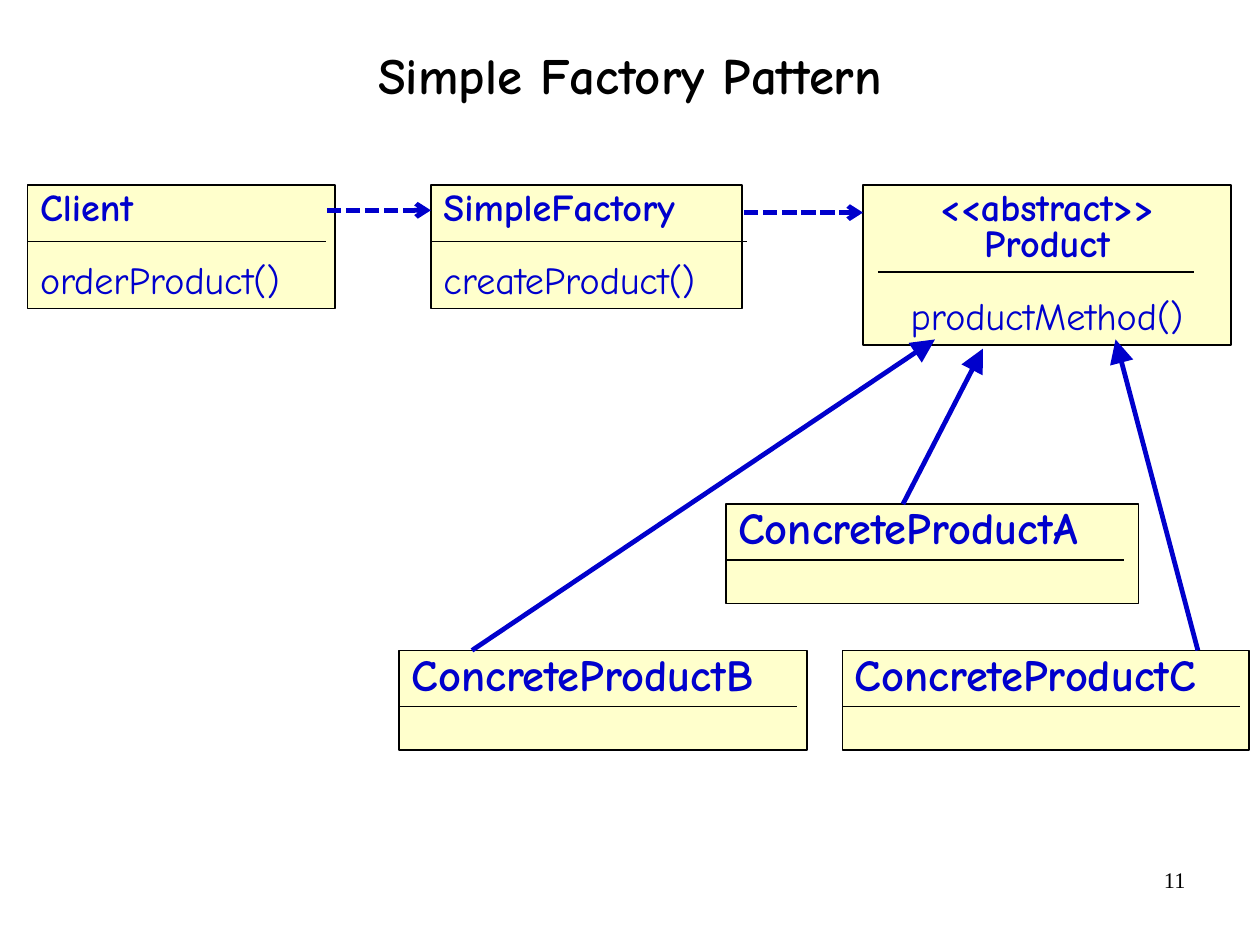
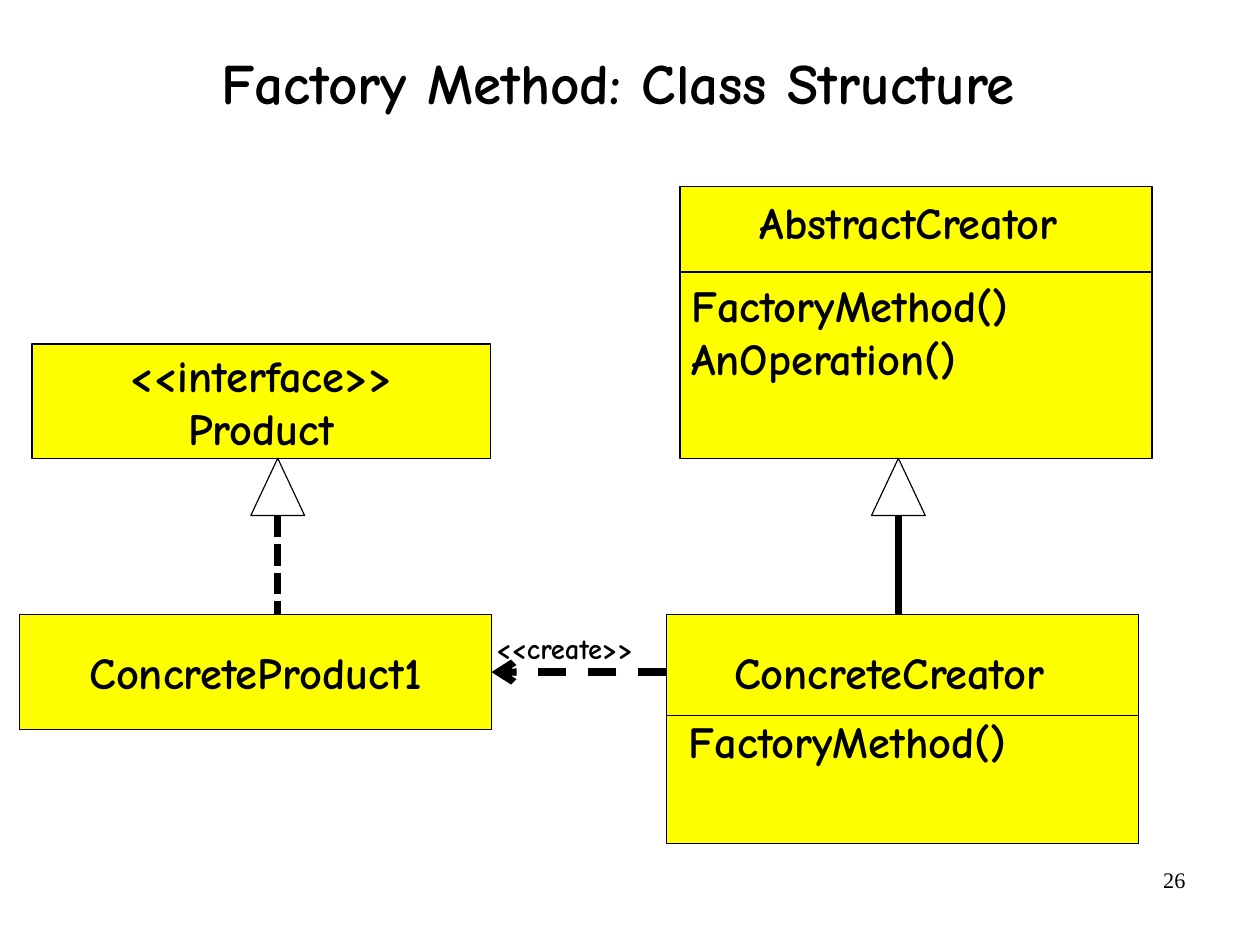
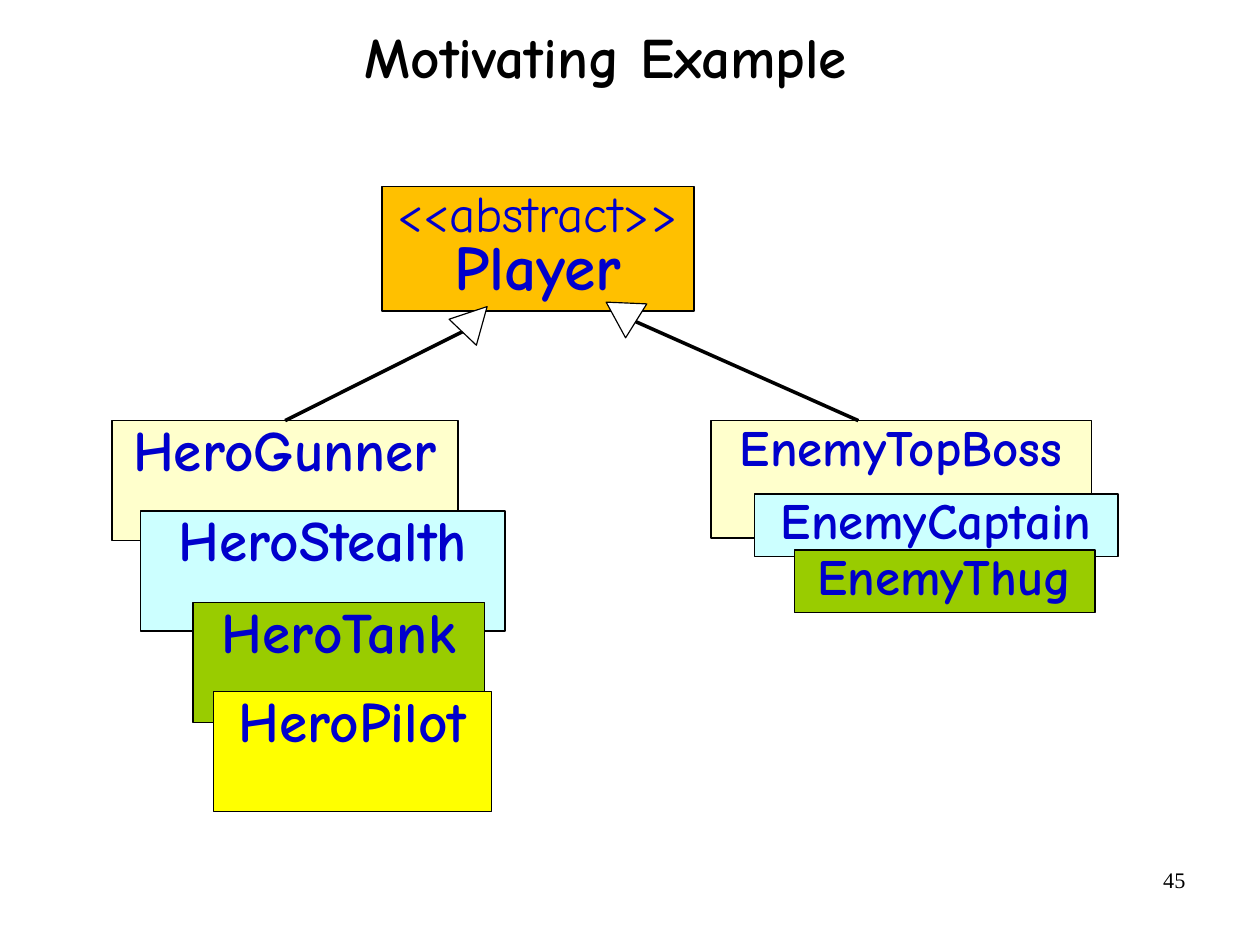
from dataclasses import dataclass, field, replace
from typing import Optional

import lxml.etree
import pptx
import pptx.dml.color
import pptx.enum.dml
import pptx.enum.shapes
import pptx.enum.text
import pptx.oxml.ns
import pptx.presentation
import pptx.shapes.autoshape
import pptx.shapes.connector
import pptx.slide
import pptx.text.text
import pptx.util

ALIGN = pptx.enum.text.PP_ALIGN
ANCHOR = pptx.enum.text.MSO_ANCHOR
DASH = pptx.enum.dml.MSO_LINE
SHAPE = pptx.enum.shapes.MSO_SHAPE

CELL = 0.1  # inches in one grid column or row
PAGE_WIDTH, PAGE_HEIGHT = pptx.util.Cm(28), pptx.util.Cm(21)
TITLE_ONLY_LAYOUT = 5
TOP_SIDE, RIGHT_SIDE = 0, 3

Area = tuple[float, float, float, float]  # left, top, columns, rows
Point = tuple[float, float]


@dataclass(frozen=True)
class Theme:
    font: str = "Comic Neue"
    number_font: str = "Times New Roman"
    black: str = "000000"
    white: str = "FFFFFF"
    blue: str = "0000CC"
    cream: str = "FFFFCC"
    yellow: str = "FFFF00"
    orange: str = "FFC000"
    ice: str = "CCFFFF"
    green: str = "99CC00"
    number_size: float = 14
    note_size: float = 18
    member_size: float = 24
    class_size: float = 28
    large_size: float = 32
    huge_size: float = 36
    giant_size: float = 40
    member_gap: float = 23
    hairline: float = 0.75
    outline: float = 1
    link: float = 2.25
    strong: float = 3
    heavy: float = 4.5


THEME = Theme()


@dataclass(frozen=True)
class TextStyle:
    color: str = THEME.black
    font: str = THEME.font
    align: ALIGN = ALIGN.CENTER
    anchor: ANCHOR = ANCHOR.MIDDLE
    spacing: float = 1.0
    inset: Point = (1, 0.5)


TITLE = TextStyle(spacing=0.88, inset=(0, 0))
NUMBER = TextStyle(font=THEME.number_font, align=ALIGN.RIGHT, anchor=ANCHOR.TOP)
NAME = TextStyle()
MEMBERS = TextStyle(align=ALIGN.LEFT, anchor=ANCHOR.TOP)
BLUE_CENTER = TextStyle(THEME.blue, anchor=ANCHOR.TOP, spacing=0.8, inset=(1.1, 0.6))
BLUE_LEFT = replace(BLUE_CENTER, align=ALIGN.LEFT)


@dataclass(frozen=True)
class Line:
    text: str
    size: float = THEME.class_size
    bold: bool = True
    gap: float = 0


@dataclass(frozen=True)
class Divider:
    """A rule inside a class box, measured from the box's top left corner."""
    drop: float
    columns: float
    indent: float = 0


@dataclass(frozen=True)
class ClassBox:
    area: Area
    fill: str
    lines: list[Line] = field(default_factory=list)
    style: TextStyle = BLUE_CENTER
    divider: Optional[Divider] = None
    outline: float = THEME.outline


@dataclass(frozen=True)
class Link:
    start: Point
    end: Point
    width: float
    color: str = THEME.black
    head: Optional[str] = None
    head_size: str = "med"
    dash: Optional[DASH] = None


def grid(cells: float) -> pptx.util.Length:
    return pptx.util.Inches(cells * CELL)


def rgb(color: str) -> pptx.dml.color.RGBColor:
    return pptx.dml.color.RGBColor.from_string(color)


def write(frame: pptx.text.text.TextFrame, lines: list[Line], style: TextStyle) -> None:
    frame.auto_size = pptx.enum.text.MSO_AUTO_SIZE.NONE
    frame.word_wrap = True
    frame.vertical_anchor = style.anchor
    frame.margin_left = frame.margin_right = grid(style.inset[0])
    frame.margin_top = frame.margin_bottom = grid(style.inset[1])
    for index, line in enumerate(lines):
        para = frame.add_paragraph() if index else frame.paragraphs[0]
        para.text = line.text
        para.alignment = style.align
        para.line_spacing = style.spacing
        para.space_before = pptx.util.Pt(line.gap)
        para.font.name = style.font
        para.font.size = pptx.util.Pt(line.size)
        para.font.bold = line.bold
        para.font.color.rgb = rgb(style.color)


def add_label(page: pptx.slide.Slide, area: Area, lines: list[Line], style: TextStyle) -> None:
    box = page.shapes.add_textbox(*map(grid, area))
    write(box.text_frame, lines, style)


def add_filled(page: pptx.slide.Slide, kind: SHAPE, area: Area, fill: str,
               outline: float) -> pptx.shapes.autoshape.Shape:
    shape = page.shapes.add_shape(kind, *map(grid, area))
    shape.shadow.inherit = False
    shape.fill.solid()
    shape.fill.fore_color.rgb = rgb(fill)
    shape.line.color.rgb = rgb(THEME.black)
    shape.line.width = pptx.util.Pt(outline)
    return shape


def add_triangle(page: pptx.slide.Slide, area: Area, rotation: float = 0) -> None:
    triangle = add_filled(page, SHAPE.ISOSCELES_TRIANGLE, area, THEME.white, THEME.hairline)
    triangle.rotation = rotation


def add_link(page: pptx.slide.Slide, link: Link) -> pptx.shapes.connector.Connector:
    connector = page.shapes.add_connector(
        pptx.enum.shapes.MSO_CONNECTOR.STRAIGHT, *map(grid, link.start + link.end))
    connector.line.color.rgb = rgb(link.color)
    connector.line.width = pptx.util.Pt(link.width)
    if link.dash:
        connector.line.dash_style = link.dash
    properties = connector._element.spPr
    qn = pptx.oxml.ns.qn
    if link.head:
        outline = properties.find(qn("a:ln"))
        lxml.etree.SubElement(outline, qn("a:tailEnd"), type=link.head,
                              w=link.head_size, len=link.head_size)
    lxml.etree.SubElement(properties, qn("a:effectLst"))
    return connector


def add_class(page: pptx.slide.Slide, box: ClassBox) -> pptx.shapes.autoshape.Shape:
    shape = add_filled(page, SHAPE.RECTANGLE, box.area, box.fill, box.outline)
    if box.lines:
        write(shape.text_frame, box.lines, box.style)
    if box.divider:
        left = box.area[0] + box.divider.indent
        row = box.area[1] + box.divider.drop
        add_link(page, Link((left, row), (left + box.divider.columns, row), THEME.hairline))
    return shape


def add_page(deck: pptx.presentation.Presentation, title: str, area: Area,
             size: float, number: int) -> pptx.slide.Slide:
    page = deck.slides.add_slide(deck.slide_layouts[TITLE_ONLY_LAYOUT])
    heading = page.shapes.title
    heading.left, heading.top, heading.width, heading.height = map(grid, area)
    write(heading.text_frame, [Line(title, size)], TITLE)
    add_label(page, (79, 75.3, 25.7, 5.7),
              [Line(str(number), THEME.number_size, bold=False)], NUMBER)
    return page


def method(text: str) -> Line:
    return Line(text, THEME.member_size, bold=False, gap=THEME.member_gap)


def add_simple_factory(deck: pptx.presentation.Presentation) -> None:
    page = add_page(deck, "Simple Factory Pattern", (8.3, 0, 93.7, 13.8), THEME.large_size, 11)
    size = THEME.member_size
    boxes = [
        ClassBox((2.4, 16.2, 26.9, 10.8), THEME.cream,
                 [Line("Client", size), method("orderProduct()")],
                 BLUE_LEFT, Divider(4.9, 26.1)),
        ClassBox((37.7, 16.2, 27.2, 10.8), THEME.cream,
                 [Line("SimpleFactory", size), method("createProduct()")],
                 BLUE_LEFT, Divider(4.9, 27.7)),
        ClassBox((75.5, 16.2, 32.2, 14), THEME.cream,
                 [Line("<<abstract>>", size), Line("Product", size), method("productMethod()")],
                 BLUE_CENTER, Divider(7.6, 27.7, 1.3)),
    ]
    concrete = [("B", 34.9, 56.9, 35.7), ("A", 63.5, 44.1, 36.1), ("C", 73.7, 56.9, 35.6)]
    boxes += [
        ClassBox((left, top, columns, 8.7), THEME.cream, [Line(f"ConcreteProduct{letter}")],
                 BLUE_LEFT, Divider(4.9, 34.8))
        for letter, left, top, columns in concrete
    ]
    for box in boxes:
        add_class(page, box)

    for start, end in [((28.6, 18.4), (37.7, 18.4)), ((65.1, 18.6), (75.5, 18.6))]:
        add_link(page, Link(start, end, THEME.strong, THEME.blue, "arrow",
                            dash=DASH.SQUARE_DOT))
    for start, end in [((41.3, 56.9), (81.8, 29.7)), ((79, 44.1), (86, 30.5)),
                       ((104.8, 56.9), (97.6, 29.7))]:
        add_link(page, Link(start, end, THEME.strong, THEME.blue, "triangle", "lg"))


def add_class_structure(deck: pptx.presentation.Presentation) -> None:
    page = add_page(deck, "Factory Method: Class Structure", (2.8, 0.7, 102.6, 13.7),
                    THEME.huge_size, 26)
    wide = 41.3
    interface = ClassBox((2.8, 30.1, 40.1, 10), THEME.yellow,
                         [Line("<<interface>>"), Line("Product")], NAME, outline=THEME.hairline)
    product = ClassBox((1.7, 53.8, wide, 10), THEME.yellow, [Line("ConcreteProduct1")], NAME,
                       outline=THEME.hairline)
    abstract_creator = ClassBox((59.5, 16.3, wide, 23.8), THEME.yellow,
                                divider=Divider(7.5, wide), outline=THEME.hairline)
    creator = ClassBox((58.3, 53.8, wide, 20), THEME.yellow,
                       divider=Divider(8.8, wide), outline=THEME.hairline)
    for box in (interface, abstract_creator, creator):
        add_class(page, box)
    product_shape = add_class(page, product)

    add_label(page, (62.5, 16.3, 34, 6.2), [Line("AbstractCreator")], NAME)
    add_label(page, (59.5, 23.8, 33.3, 10.3),
              [Line("FactoryMethod()"), Line("AnOperation()")], MEMBERS)
    add_label(page, (60.8, 53.8, 34, 10), [Line("ConcreteCreator")], NAME)
    add_label(page, (59.3, 62, 33.3, 5.7), [Line("FactoryMethod()")], MEMBERS)

    creates = add_link(page, Link((58.3, 58.8), (43, 58.8), THEME.heavy,
                                  head="arrow", dash=DASH.DASH))
    creates.end_connect(product_shape, RIGHT_SIDE)
    for column, dash in [(24.3, DASH.SQUARE_DOT), (78.6, None)]:
        add_link(page, Link((column, 42.6), (column, 53.8), THEME.heavy, dash=dash))
        add_triangle(page, (column - 2.35, 40.1, 4.7, 5))
    add_label(page, (42.4, 54.7, 16.1, 4), [Line("<<create>>", THEME.note_size)], MEMBERS)


def add_motivating_example(deck: pptx.presentation.Presentation) -> None:
    page = add_page(deck, "Motivating Example", (0, 0, 106, 10.5), THEME.huge_size, 45)
    add_class(page, ClassBox((33.4, 16.3, 27.3, 10.9), THEME.orange,
                             [Line("<<abstract>>", THEME.large_size, bold=False),
                              Line("Player", THEME.giant_size)]))
    heroes = [
        ("HeroGunner", (9.8, 36.8, 30.3, 10.5), THEME.cream),
        ("HeroStealth", (12.3, 44.7, 31.9, 10.5), THEME.ice),
        ("HeroTank", (16.9, 52.7, 25.5, 10.5), THEME.green),
        ("HeroPilot", (18.7, 60.5, 24.3, 10.5), THEME.yellow),
    ]
    enemies = [
        ("EnemyTopBoss", (62.2, 36.8, 33.3, 10.3), THEME.cream),
        ("EnemyCaptain", (66, 43.2, 31.8, 5.5), THEME.ice),
        ("EnemyThug", (69.5, 48.1, 26.3, 5.5), THEME.green),
    ]
    shapes = {
        name: add_class(page, ClassBox(area, fill, [Line(name, size)]))
        for family, size in [(heroes, THEME.huge_size), (enemies, THEME.large_size)]
        for name, area, fill in family
    }
    hero_link = add_link(page, Link((25, 36.8), (42.3, 28.1), THEME.link, head="triangle"))
    hero_link.begin_connect(shapes["HeroGunner"], TOP_SIDE)
    add_link(page, Link((75.1, 36.8), (53.5, 27.2), THEME.link, head="triangle"))
    add_triangle(page, (39.9, 26.4, 3.3, 3.1), 43.6)
    add_triangle(page, (52.6, 25.7, 3.5, 3.1), 302)


def main() -> None:
    deck = pptx.Presentation()
    deck.slide_width, deck.slide_height = PAGE_WIDTH, PAGE_HEIGHT
    add_simple_factory(deck)
    add_class_structure(deck)
    add_motivating_example(deck)
    deck.save("out.pptx")


if __name__ == "__main__":
    main()
